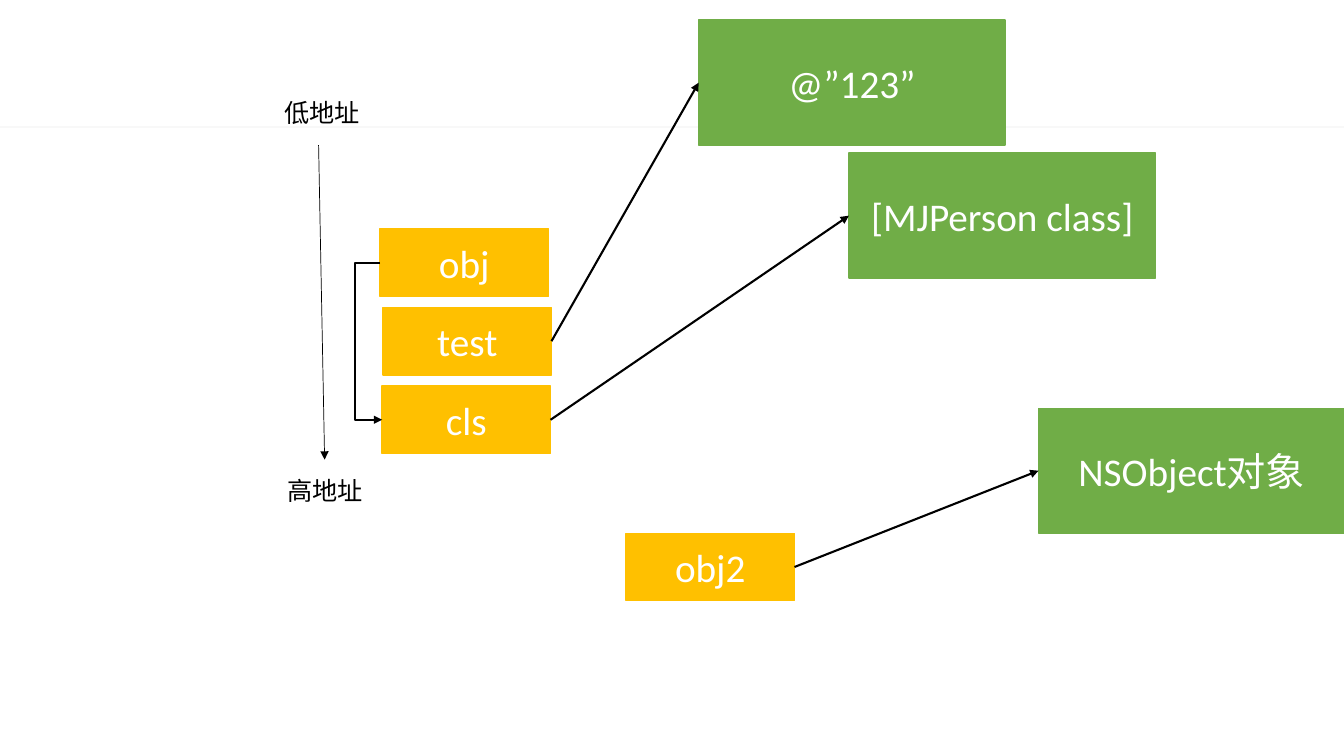
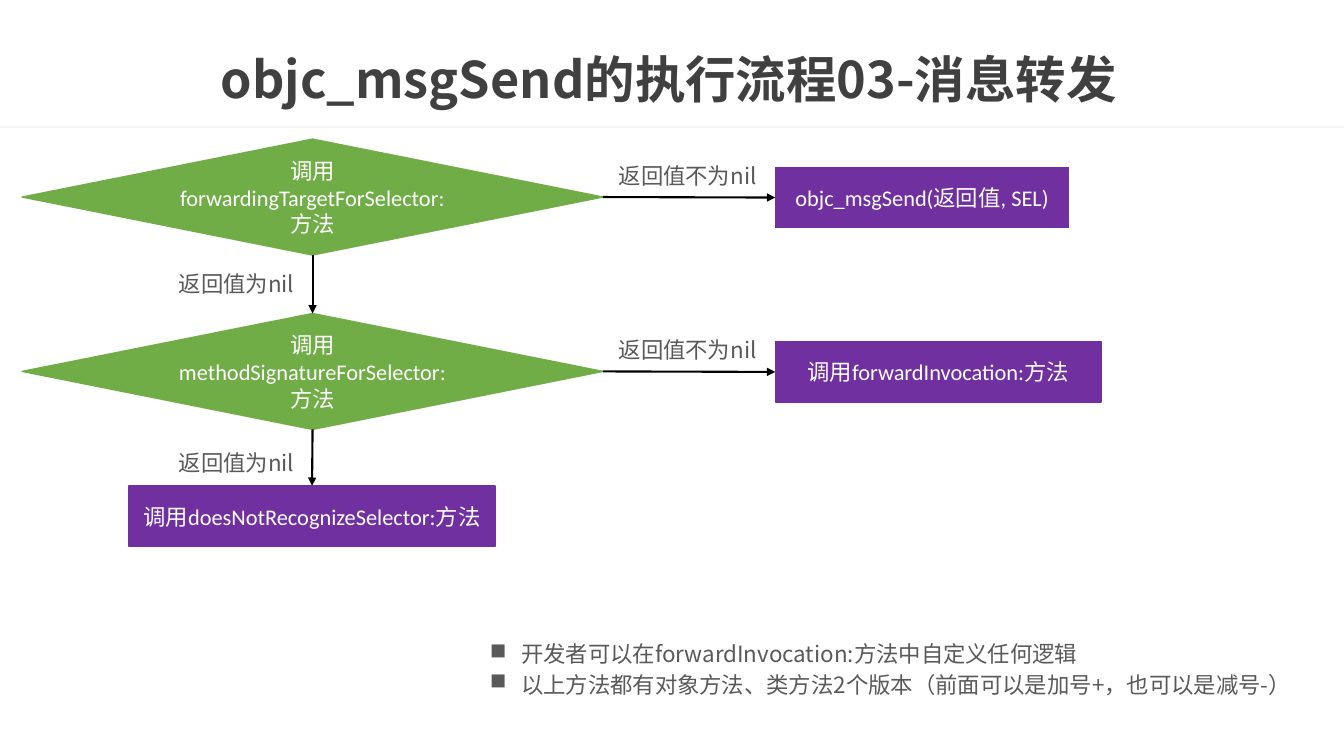
from lxml.etree import SubElement
from pptx import Presentation
from pptx.dml.color import RGBColor
from pptx.enum.shapes import MSO_CONNECTOR, MSO_SHAPE
from pptx.enum.text import MSO_ANCHOR, MSO_AUTO_SIZE, PP_ALIGN
from pptx.oxml.ns import qn
from pptx.util import Inches, Pt

WHITE = RGBColor(0xFF, 0xFF, 0xFF)
BLACK = RGBColor(0, 0, 0)
GOLD = RGBColor(0xFF, 0xC0, 0x00)
GREEN = RGBColor(0x70, 0xAD, 0x47)
PURPLE = RGBColor(0x70, 0x30, 0xA0)
PALE = RGBColor(0xEA, 0xEA, 0xEA)
GRAY = RGBColor(0x59, 0x59, 0x59)
DARK = RGBColor(0x40, 0x40, 0x40)

LATIN = "Calibri"
HAN = "Noto Sans CJK SC"
TOP, LEFT, BOTTOM, RIGHT = range(4)

BIG = {"size": Pt(28), "name": LATIN, "color": WHITE}
SMALL = {"size": Pt(16), "name": LATIN, "color": WHITE}
SIDE = {"size": Pt(18), "name": LATIN, "color": BLACK}
NOTE = {"size": Pt(16), "name": HAN, "color": GRAY}
HEAD = {"size": Pt(36), "name": HAN, "bold": True, "color": DARK}
CENTER = {"alignment": PP_ALIGN.CENTER}
TIGHT = {"alignment": PP_ALIGN.CENTER, "line_spacing": Pt(22)}
LIST = {"alignment": PP_ALIGN.LEFT, "line_spacing": Pt(22)}
START = {"alignment": PP_ALIGN.LEFT, "line_spacing": 0.9}
MIDDLE = {"word_wrap": True, "vertical_anchor": MSO_ANCHOR.MIDDLE}
LOOSE = {"word_wrap": False, "auto_size": MSO_AUTO_SIZE.SHAPE_TO_FIT_TEXT}


def apply(target, values):
    for key, value in values.items():
        if key == "color":
            target.color.rgb = value
        else:
            setattr(target, key, value)


def write(shape, text, font, para, frame=MIDDLE):
    body = shape.text_frame
    apply(body, frame)
    body.text = text
    for item in body.paragraphs:
        apply(item, para)
        for run in item.runs:
            apply(run.font, font)
            SubElement(run.font._element, qn("a:ea"), typeface=HAN)


def block(slide, kind, box, color):
    shape = slide.shapes.add_shape(kind, *map(Inches, box))
    shape.shadow.inherit = False
    shape.fill.solid()
    shape.fill.fore_color.rgb = color
    shape.line.color.rgb = color
    shape.line.width = Pt(1)
    return shape


def node(slide, kind, box, color, text, font):
    shape = block(slide, kind, box, color)
    write(shape, text, font, CENTER)
    return shape


def label(slide, box, text, font, para, frame=MIDDLE):
    shape = slide.shapes.add_textbox(*map(Inches, box))
    write(shape, text, font, para, frame)
    return shape


def arrow(slide, ends=(0, 0, 0, 0), kind=MSO_CONNECTOR.STRAIGHT, width=1.5):
    line = slide.shapes.add_connector(kind, *map(Inches, ends))
    line.line.color.rgb = BLACK
    line.line.width = Pt(width)
    SubElement(line.line._get_or_add_ln(), qn("a:tailEnd"), type="triangle")
    SubElement(line.element.spPr, qn("a:effectLst"))
    return line


def link(slide, start, out, end, into, kind=MSO_CONNECTOR.STRAIGHT):
    line = arrow(slide, kind=kind)
    line.begin_connect(start, out)
    line.end_connect(end, into)
    return line


def loop(slide, start, end, reach):
    line = link(slide, start, LEFT, end, LEFT, MSO_CONNECTOR.ELBOW)
    bend = round(-Inches(reach) / line.width * 100000)
    guides = line.element.spPr.find(qn("a:prstGeom")).find(qn("a:avLst"))
    SubElement(guides, qn("a:gd"), name="adj1", fmla=f"val {bend}")


def rule(deck, slide):
    band = block(slide, MSO_SHAPE.RECTANGLE, (0, 1.25, 13.33, 0.02), PALE)
    band.line.fill.background()
    tint = band.element.spPr.find(qn("a:solidFill"))[0]
    SubElement(tint, qn("a:alpha"), val="32000")
    deck.slide_master.shapes.element.append(band.element)


def cell(slide, left, top, text):
    box = left, top, 1.67, 0.67
    return node(slide, MSO_SHAPE.RECTANGLE, box, GOLD, text, BIG)


def target(slide, left, top, text):
    box = left, top, 3.04, 1.24
    return node(slide, MSO_SHAPE.RECTANGLE, box, GREEN, text, BIG)


def stack(slide, left, top):
    cells = [cell(slide, left + shift, top + 0.78 * row, text)
             for row, (shift, text) in enumerate(
                 [(0, "obj"), (0.03, "test"), (0.02, "cls")])]
    loop(slide, cells[0], cells[2], 0.25)
    return cells


def scale(slide, left, top):
    for shift, drop, text in [(0, 0, "低地址"), (0.03, 3.75, "高地址")]:
        box = left + shift, top + drop, 0.96, 0.4
        label(slide, box, text, SIDE, {}, LOOSE)
    ends = left + 0.44, top + 0.52, left + 0.5, top + 3.64
    arrow(slide, ends, width=0.5)


def memory(slide):
    scale(slide, 2.72, 0.92)
    first, test, last = stack(slide, 3.77, 2.27)
    other = cell(slide, 6.21, 5.29, "obj2")
    for start, left, top, text in [
            (test, 6.93, 0.2, "@”123”"),
            (last, 8.42, 1.52, "[MJPerson class]"),
            (other, 10.3, 4.05, "NSObject对象")]:
        link(slide, start, RIGHT, target(slide, left, top, text), LEFT)


def step(slide, left, top, name, result, width, drop):
    test = node(slide, MSO_SHAPE.FLOWCHART_DECISION, (left, top, 5.76, 1.15),
                GREEN, f"调用\n{name}\n方法", SMALL)
    goal = node(slide, MSO_SHAPE.FLOWCHART_PROCESS,
                (left + 7.47, top + 0.28, width, 0.6), PURPLE, result, SMALL)
    link(slide, test, RIGHT, goal, LEFT)
    label(slide, (left + 5.77, top + 0.14, 1.66, 0.4),
          "返回值不为nil", NOTE, TIGHT)
    label(slide, (left + 1.38, top + drop, 1.49, 0.4),
          "返回值为nil", NOTE, TIGHT)
    return test


def flow(slide, left, top):
    first = step(slide, left, top, "forwardingTargetForSelector:",
                 "objc_msgSend(返回值, SEL)", 2.91, 1.21)
    second = step(slide, left, top + 1.73, "methodSignatureForSelector:",
                  "调用forwardInvocation:方法", 3.23, 1.26)
    last = node(slide, MSO_SHAPE.FLOWCHART_PROCESS,
                (left + 1.06, top + 3.44, 3.63, 0.6), PURPLE,
                "调用doesNotRecognizeSelector:方法", SMALL)
    link(slide, first, BOTTOM, second, TOP)
    link(slide, second, BOTTOM, last, TOP)


def notes(slide, box):
    lines = ["开发者可以在forwardInvocation:方法中自定义任何逻辑",
             "以上方法都有对象方法、类方法2个版本（前面可以是加号+，也可以是减号-）"]
    shape = label(slide, box, "\n".join(lines), NOTE, LIST)
    indent = Inches(0.31)
    for item in shape.text_frame.paragraphs:
        props = item._p.get_or_add_pPr()
        props.set("marL", str(indent))
        props.set("indent", str(-indent))
        SubElement(props, qn("a:buChar"), char="■")


def title(slide, box, text):
    shape = slide.shapes.title
    apply(shape, dict(zip(("left", "top", "width", "height"),
                          map(Inches, box))))
    write(shape, text, HEAD, START)


def main():
    deck = Presentation()
    apply(deck, {"slide_width": Inches(13.33), "slide_height": Inches(7.5)})
    first = deck.slides.add_slide(deck.slide_layouts[6])
    rule(deck, first)
    memory(first)
    second = deck.slides.add_slide(deck.slide_layouts[5])
    title(second, (2.09, 0.43, 11.03, 0.78),
          "objc_msgSend的执行流程03-消息转发")
    flow(second, 0.22, 1.38)
    notes(second, (4.76, 6.15, 8.18, 0.94))
    deck.save("out.pptx")


if __name__ == "__main__":
    main()
